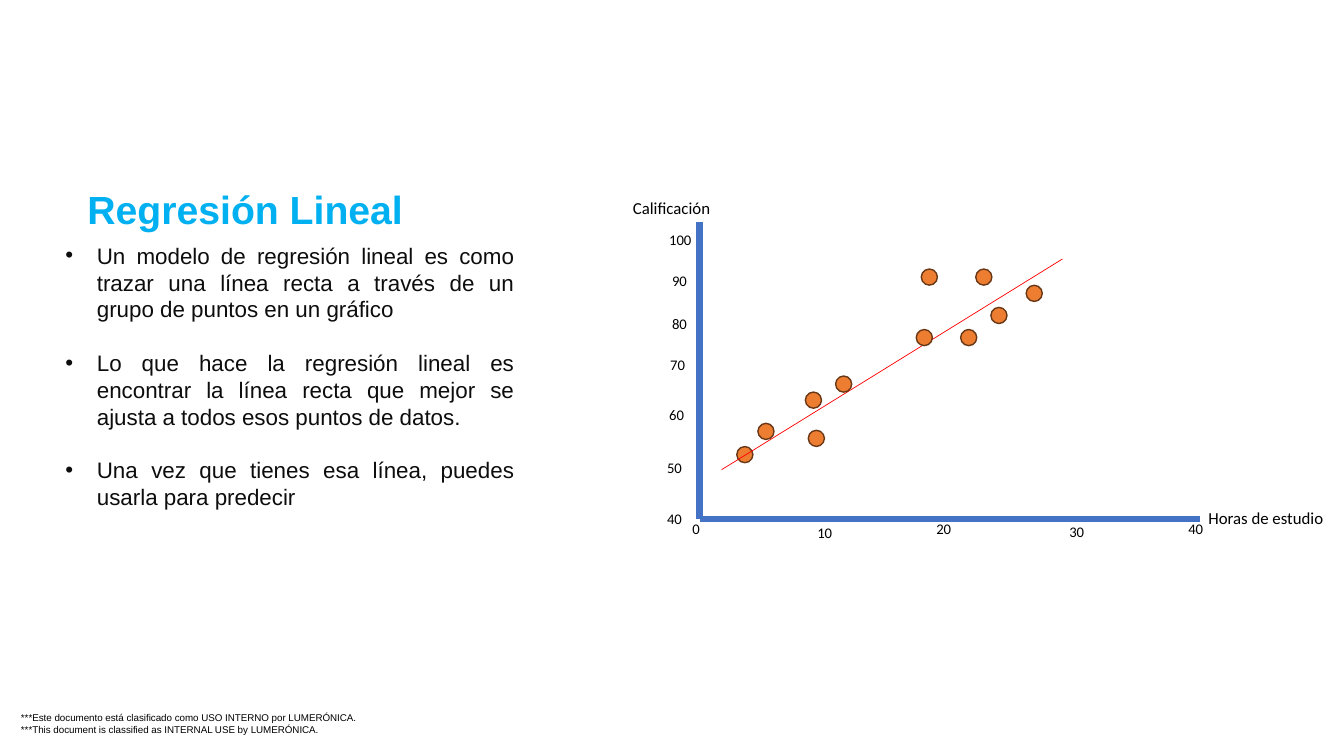
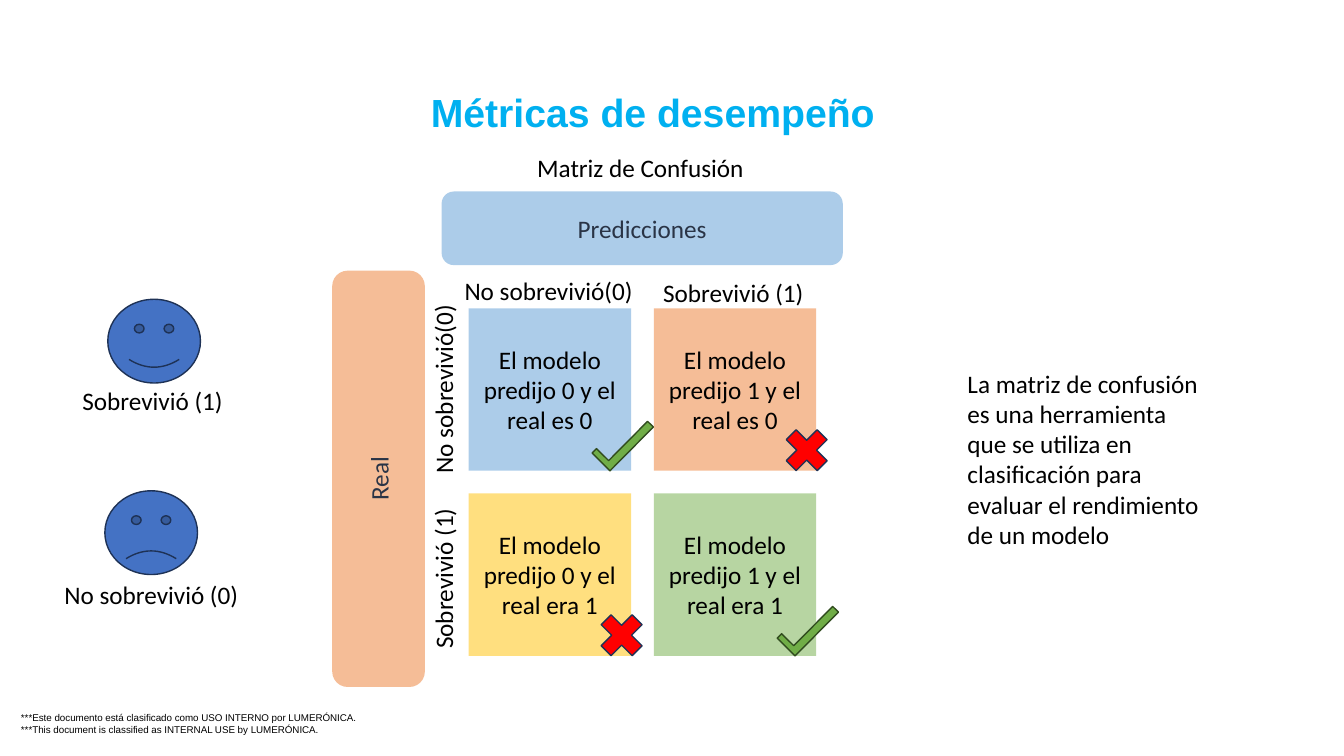
import pptx
import pptx.dml.color
import pptx.enum.shapes
import pptx.enum.text
import pptx.oxml
import pptx.oxml.ns
import pptx.util

Pt = pptx.util.Pt
RGBColor = pptx.dml.color.RGBColor
Shape = pptx.enum.shapes.MSO_SHAPE
Align = pptx.enum.text.PP_ALIGN
Anchor = pptx.enum.text.MSO_ANCHOR
AutoSize = pptx.enum.text.MSO_AUTO_SIZE

BLACK = RGBColor(0x00, 0x00, 0x00)
INK = RGBColor(0x0D, 0x0D, 0x0D)
SLATE = RGBColor(0x2A, 0x34, 0x46)
CYAN = RGBColor(0x00, 0xB0, 0xF0)
BLUE = RGBColor(0x44, 0x72, 0xC4)
NAVY = RGBColor(0x1E, 0x32, 0x56)
SKY = RGBColor(0x5B, 0x9B, 0xD5)
ORANGE = RGBColor(0xED, 0x7D, 0x31)
BROWN = RGBColor(0x68, 0x37, 0x15)
GOLD = RGBColor(0xFF, 0xC0, 0x00)
GREEN = RGBColor(0x70, 0xAD, 0x47)
FOREST = RGBColor(0x31, 0x4C, 0x1F)
RED = RGBColor(0xFF, 0x00, 0x00)

FOOTER = ("***Este documento está clasificado como USO INTERNO por LUMERÓNICA.\v"
          "***This document is classified as INTERNAL USE by LUMERÓNICA.")

BULLETS = [
    "Un modelo de regresión lineal es como trazar una línea recta a través de un "
    "grupo de puntos en un gráfico",
    "Lo que hace la regresión lineal es encontrar la línea recta que mejor se ajusta "
    "a todos esos puntos de datos.",
    "Una vez que tienes esa línea, puedes usarla para predecir",
]

# Axis corner, top of the vertical axis and end of the horizontal axis
ORIGIN_X, ORIGIN_Y = 499.7, 370.8
AXIS_TOP, AXIS_END = 158.4, 857.5
POINT_SIZE = 11.5
POINTS = [(526.3, 319), (596.9, 268.6), (658.1, 192.2), (733, 203.8),
          (654.5, 235.4), (697, 192.2), (577.4, 307.4), (707.8, 219.6),
          (686.2, 235.4), (541.4, 302.4), (575.3, 280.1)]
TICKS = [("0", 487.4, 367.9), ("10", 576.7, 370.8), ("20", 661.7, 367.9),
         ("30", 756.7, 370.1), ("40", 841.7, 367.9), ("40", 469.4, 360.7),
         ("50", 469.4, 324), ("60", 470.9, 286.6), ("70", 471.6, 250.6),
         ("80", 473, 221), ("90", 473, 190.8), ("100", 470.9, 161.3)]

CELL_LEFT, CELL_TOP, CELL_SIZE, CELL_PITCH = 334.8, 220.3, 116, 132.2
CELLS = [  # row, column, colour, text, prediction is right
    (0, 0, SKY, "El modelo predijo 0 y el real es 0", True),
    (0, 1, ORANGE, "El modelo predijo 1 y el real es 0", False),
    (1, 0, GOLD, "El modelo predijo 0 y el real era 1", False),
    (1, 1, GREEN, "El modelo predijo 1 y el real era 1", True),
]


def style_text(frame, size, color, font="Calibri", align=None, bold=False):
    for paragraph in frame.paragraphs:
        paragraph.alignment = align
        for span in paragraph.runs:
            span.font.size = Pt(size)
            span.font.name = font
            span.font.bold = bold
            span.font.color.rgb = color


def add_text(page, text, left, top, width, height, wrap=True):
    box = page.shapes.add_textbox(Pt(left), Pt(top), Pt(width), Pt(height))
    box.text_frame.word_wrap = wrap
    box.text_frame.text = text
    return box


def add_label(page, text, left, top, width, height, size=18, wrap=False, rotation=0):
    box = add_text(page, text, left, top, width, height, wrap)
    box.text_frame.auto_size = AutoSize.SHAPE_TO_FIT_TEXT
    box.rotation = rotation
    style_text(box.text_frame, size, BLACK)


def add_title(page, text, left, top, width, align=None):
    frame = add_text(page, text, left, top, width, 40.3).text_frame
    frame.vertical_anchor = Anchor.MIDDLE
    style_text(frame, 28, CYAN, "Arial", align, True)


def add_footer(page):
    frame = add_text(page, FOOTER, 15, 508.3, 240.5, 16.6).text_frame
    frame.margin_left = frame.margin_right = frame.margin_top = frame.margin_bottom = 0
    style_text(frame, 7, BLACK, "Arial")


def add_bullets(page, lines, left, top, width, height):
    frame = add_text(page, "\n".join(lines), left, top, width, height).text_frame
    for index, paragraph in enumerate(frame.paragraphs):
        properties = paragraph._p.get_or_add_pPr()
        properties.set("marL", str(Pt(22.5)))
        properties.set("indent", str(Pt(-22.5)))
        for tag, name, value in (("a:buFont", "typeface", "Arial"),
                                 ("a:buChar", "char", "•")):
            element = pptx.oxml.parse_xml(f"<{tag} {pptx.oxml.ns.nsdecls('a')}/>")
            element.set(name, value)
            properties.append(element)
        if index:
            paragraph.space_before = Pt(19)
    style_text(frame, 16, INK, "Arial", Align.JUSTIFY)


def add_line(page, start, end, color, weight):
    line = page.shapes.add_connector(pptx.enum.shapes.MSO_CONNECTOR.STRAIGHT,
                                     *map(Pt, start + end))
    line.line.color.rgb = color
    line.line.width = Pt(weight)
    line._element.spPr.append(
        pptx.oxml.parse_xml(f"<a:effectLst {pptx.oxml.ns.nsdecls('a')}/>"))


def add_figure(page, kind, left, top, width, height, fill, outline=None, rotation=0):
    figure = page.shapes.add_shape(kind, Pt(left), Pt(top), Pt(width), Pt(height))
    figure.shadow.inherit = False
    figure.fill.solid()
    figure.fill.fore_color.rgb = fill
    figure.rotation = rotation
    if outline is None:
        figure.line.fill.background()
    else:
        figure.line.color.rgb = outline
        figure.line.width = Pt(1)
    return figure


def add_panel(page, kind, text, left, top, width, height, fill, color, rotation=0):
    """Half transparent shape with centred text."""
    panel = add_figure(page, kind, left, top, width, height, fill, rotation=rotation)
    fill_color = panel._element.spPr.find(".//" + pptx.oxml.ns.qn("a:srgbClr"))
    fill_color.append(pptx.oxml.parse_xml(
        f'<a:alpha {pptx.oxml.ns.nsdecls("a")} val="50000"/>'))
    panel.text_frame.word_wrap = True
    panel.text_frame.vertical_anchor = Anchor.MIDDLE
    panel.text_frame.text = text
    style_text(panel.text_frame, 18, color, align=Align.CENTER)


def add_check(page, left, top):
    check = add_figure(page, Shape.CORNER, left, top, 44, 18, GREEN, FOREST, 314.7)
    check.adjustments[0] = 0.32
    check.adjustments[1] = 0.25


def add_cross(page, left, top):
    add_figure(page, Shape.MATH_MULTIPLY, left, top, 42.5, 42.5, RED, NAVY)


def add_face(page, left, top, label, label_left, label_top, label_width, smile=None):
    group = page.shapes.add_group_shape()
    face = add_figure(group, Shape.SMILEY_FACE, left, top, 66.2, 59.8, BLUE, NAVY)
    if smile is not None:
        face.adjustments[0] = smile
    add_label(group, label, label_left, label_top, label_width, 28.8)


def add_point(page, left, top):
    add_figure(page, Shape.OVAL, left, top, POINT_SIZE, POINT_SIZE, ORANGE, BROWN)


def build_regression(page):
    add_footer(page)
    add_title(page, "Regresión Lineal", 55.4, 128.9, 251.3)
    add_bullets(page, BULLETS, 39.6, 169.2, 334.8, 285.8)

    add_line(page, (ORIGIN_X, AXIS_TOP), (ORIGIN_X, ORIGIN_Y), BLUE, 4.5)
    add_line(page, (ORIGIN_X, ORIGIN_Y), (AXIS_END, ORIGIN_Y), BLUE, 4.5)
    add_label(page, "Calificación", 445, 137.5, 70.6, 21.6, 12)
    add_label(page, "Horas de estudio", 856.1, 359.3, 97.9, 21.6, 12)

    first_point, *other_points = POINTS
    add_point(page, *first_point)
    add_line(page, (515.5, 335.5), (758.9, 185), RED, 0.5)
    for point in other_points:
        add_point(page, *point)
    for text, left, top in TICKS:
        add_label(page, text, left, top, 32, 20.2, 10.5, wrap=True)


def build_confusion_matrix(page):
    add_footer(page)
    add_title(page, "Métricas de desempeño", 237.6, 59.8, 457.2, Align.CENTER)
    add_label(page, "Matriz de Confusión", 376.6, 105.1, 163.4, 28.8)
    add_face(page, 77, 213.8, "Sobrevivió (1)", 51.8, 271.4, 115.9)
    add_face(page, 74.9, 350.6, "No sobrevivió (0)", 38.9, 410.4, 140.4, -0.047)

    add_panel(page, Shape.ROUNDED_RECTANGLE, "Predicciones",
              315.4, 136.8, 286.6, 52.6, SKY, SLATE)
    add_panel(page, Shape.ROUNDED_RECTANGLE, "Real",
              121.7, 308.9, 297.4, 66.2, ORANGE, SLATE, 270)
    for row, column, color, text, is_right in CELLS:
        left = CELL_LEFT + column * CELL_PITCH
        top = CELL_TOP + row * CELL_PITCH
        add_panel(page, Shape.RECTANGLE, text, left, top, CELL_SIZE, CELL_SIZE,
                  color, BLACK)
        if is_right:
            add_check(page, left + 88, top + 85)
        else:
            add_cross(page, left + 88, top + 80)

    for text, left, top, width, rotation in (
            ("No sobrevivió(0)", 324.7, 193, 136.1, 0),
            ("Sobrevivió (1)", 466.6, 194.4, 115.9, 0),
            ("No sobrevivió(0)", 248.4, 262.8, 136.1, 270),
            ("Sobrevivió (1)", 258.5, 398.2, 115.9, 270)):
        add_label(page, text, left, top, width, 28.8, rotation=rotation)
    add_label(page, "La matriz de confusión es una herramienta que se utiliza en "
              "clasificación para evaluar el rendimiento de un modelo",
              684, 259.2, 180, 138.2, wrap=True)


def main():
    deck = pptx.Presentation()
    deck.slide_width, deck.slide_height = Pt(960), Pt(540)
    blank = deck.slide_layouts[6]
    for build in (build_regression, build_confusion_matrix):
        build(deck.slides.add_slide(blank))
    deck.save("out.pptx")


if __name__ == "__main__":
    main()
